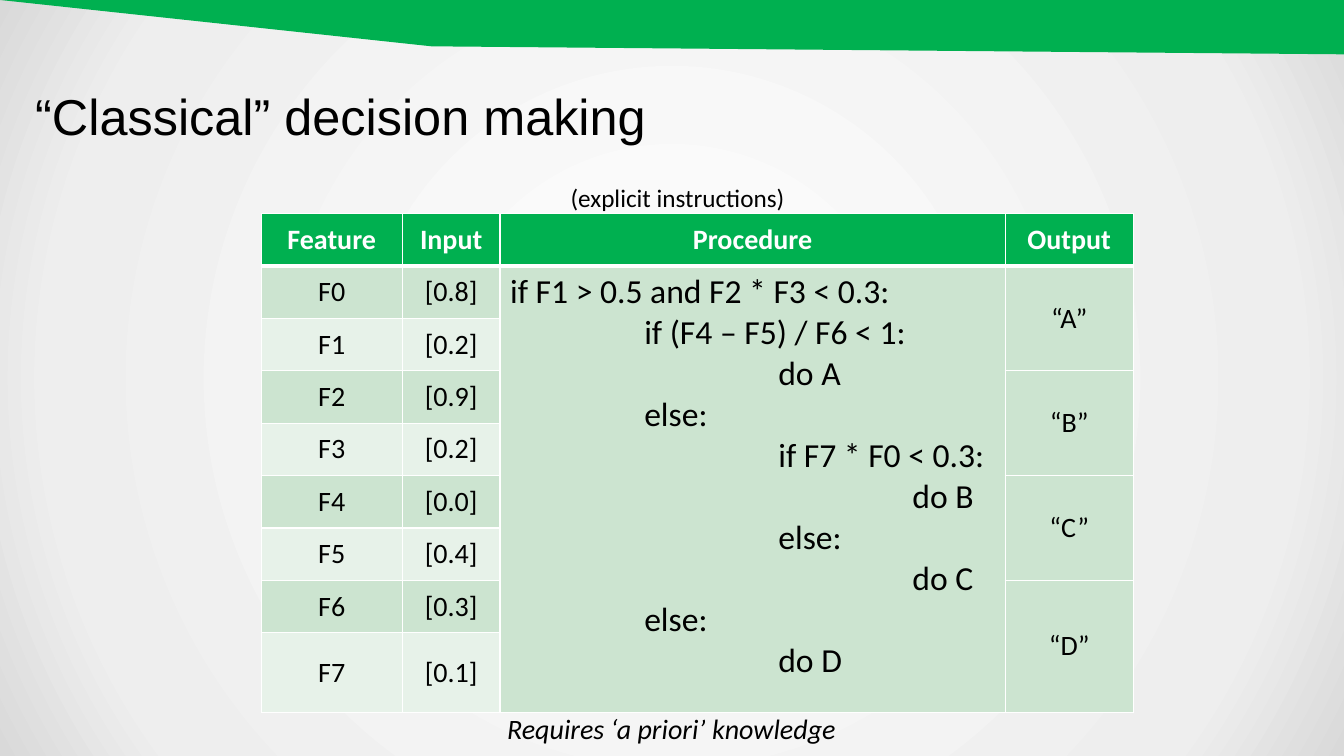
from lxml.etree import SubElement
from pptx import Presentation
from pptx.dml.color import RGBColor
from pptx.enum.text import MSO_ANCHOR, PP_ALIGN
from pptx.oxml import parse_xml
from pptx.oxml.ns import nsdecls, qn
from pptx.util import Inches, Pt

GREEN, WHITE, BLACK = "00B050", "FFFFFF", "000000"
BANDS = ("CCE4D0", "E7F2E9")
TAB_WIDTH = 1.33

HEADINGS = ("Feature", "Input", "Procedure", "Output")
COLUMN_WIDTHS = (1.4, 0.97, 5.01, 1.27)
ROW_HEIGHTS = [0.52] * 8 + [0.79]
INPUTS = ("0.8", "0.2", "0.9", "0.2", "0.0", "0.4", "0.3", "0.1")
OUTPUTS = "ABCD"
PROCEDURE = (
    (0, "if F1 > 0.5 and F2 * F3 < 0.3:"),
    (1, "if (F4 – F5) / F6 < 1:"),
    (2, "do A"),
    (1, "else:"),
    (2, "if F7 * F0 < 0.3:"),
    (3, "do B"),
    (2, "else:"),
    (3, "do C"),
    (1, "else:"),
    (2, "do D"),
)


def rgb(value):
    return RGBColor.from_string(value)


class SlideBuilder:
    def __init__(self, slide, font="Calibri"):
        self.slide = slide
        self.font = font

    def radial_background(self, stops):
        marks = "".join(
            f'<a:gs pos="{percent * 1000}"><a:srgbClr val="{color}"/></a:gs>'
            for percent, color in stops
        )
        self.slide.element.cSld.insert(0, parse_xml(
            f'<p:bg {nsdecls("p", "a")}><p:bgPr><a:gradFill rotWithShape="1">'
            f'<a:gsLst>{marks}</a:gsLst><a:path path="circle">'
            '<a:fillToRect l="50000" t="50000" r="50000" b="50000"/></a:path>'
            '</a:gradFill><a:effectLst/></p:bgPr></p:bg>'
        ))

    def outline(self, points, color):
        start, *rest = [(Inches(x), Inches(y)) for x, y in points]
        builder = self.slide.shapes.build_freeform(*start)
        builder.add_line_segments(rest, close=True)
        shape = builder.convert_to_shape()
        shape.shadow.inherit = False
        shape.fill.solid()
        shape.fill.fore_color.rgb = rgb(color)
        shape.line.fill.background()

    def style(self, paragraph, size, color=BLACK, align=PP_ALIGN.CENTER,
              font=None, bold=False, italic=False):
        paragraph.alignment = align
        for run in paragraph.runs:
            run.font.name = font or self.font
            run.font.size = Pt(size)
            run.font.bold = bold
            run.font.italic = italic
            run.font.color.rgb = rgb(color)

    def text(self, box, content, size, side_inset=0.1, **style):
        frame = self.slide.shapes.add_textbox(*map(Inches, box)).text_frame
        frame.word_wrap = True
        frame.vertical_anchor = MSO_ANCHOR.MIDDLE
        frame.margin_left = frame.margin_right = Inches(side_inset)
        frame.text = content
        self.style(frame.paragraphs[0], size, **style)

    def table(self, left, top, widths, heights):
        table = self.slide.shapes.add_table(
            len(heights), len(widths), Inches(left), Inches(top),
            Inches(sum(widths)), Inches(sum(heights)),
        ).table
        for column, width in zip(table.columns, widths):
            column.width = Inches(width)
        for row, height in zip(table.rows, heights):
            row.height = Inches(height)
        for r in range(len(heights)):
            for c in range(len(widths)):
                self.borders(table.cell(r, c), top=3 if r == 1 else 1,
                             bottom=3 if r == 0 else 1)
        return table

    def borders(self, cell, top, bottom):
        properties = cell._tc.get_or_add_tcPr()
        for side, width in zip("LRTB", (1, 1, top, bottom)):
            line = SubElement(properties, qn(f"a:ln{side}"), w=str(Pt(width)))
            fill = SubElement(line, qn("a:solidFill"))
            SubElement(fill, qn("a:srgbClr"), val=WHITE)

    def cell(self, cell, content, fill, size=20, **style):
        cell.fill.solid()
        cell.fill.fore_color.rgb = rgb(fill)
        cell.vertical_anchor = MSO_ANCHOR.MIDDLE
        cell.text_frame.text = content
        for paragraph in cell.text_frame.paragraphs:
            self.style(paragraph, size, **style)

    def tab_stops(self, paragraph, count):
        stops = SubElement(paragraph._p.get_or_add_pPr(), qn("a:tabLst"))
        for level in range(1, count + 1):
            SubElement(stops, qn("a:tab"), pos=str(Inches(TAB_WIDTH * level)), algn="l")


def fill_decision_table(builder, table):
    for column, heading in enumerate(HEADINGS):
        builder.cell(table.cell(0, column), heading, GREEN, color=WHITE, bold=True)

    for index, value in enumerate(INPUTS):
        band = BANDS[index % 2]
        builder.cell(table.cell(index + 1, 0), f"F{index}", band)
        builder.cell(table.cell(index + 1, 1), f"[{value}]", band)

    procedure = table.cell(1, 2)
    procedure.merge(table.cell(len(INPUTS), 2))
    code = "\n".join("\t" * level + line for level, line in PROCEDURE)
    builder.cell(procedure, code, BANDS[0], size=24, align=PP_ALIGN.LEFT)
    procedure.margin_bottom = Inches(0.3)
    for paragraph, (level, _) in zip(procedure.text_frame.paragraphs, PROCEDURE):
        if level:
            builder.tab_stops(paragraph, level)

    for index, output in enumerate(OUTPUTS):
        first = 1 + 2 * index
        result = table.cell(first, 3)
        result.merge(table.cell(first + 1, 3))
        builder.cell(result, f"“{output}”", BANDS[0])


def main():
    presentation = Presentation()
    presentation.slide_width = Inches(13.33)
    presentation.slide_height = Inches(7.5)
    builder = SlideBuilder(presentation.slides.add_slide(presentation.slide_layouts[6]))

    builder.radial_background([(0, "FFFFFF"), (81, "EEEEEE"), (100, "D9D9D9")])
    builder.text((2.18, 1.76, 9.08, 0.4), "(explicit instructions)", 18)
    builder.text((2.12, 7.01, 9.08, 0.44), "Requires ‘a priori’ knowledge", 20, italic=True)
    fill_decision_table(builder, builder.table(2.59, 2.12, COLUMN_WIDTHS, ROW_HEIGHTS))
    builder.text((0.35, 0.75, 12, 0.78), "“Classical” decision making", 36,
                 side_inset=0, align=PP_ALIGN.LEFT, font="Arial")
    builder.outline([(0, 0), (4.28, 0.46), (13.43, 0.54), (13.41, 0)], GREEN)

    presentation.save("out.pptx")


if __name__ == "__main__":
    main()
